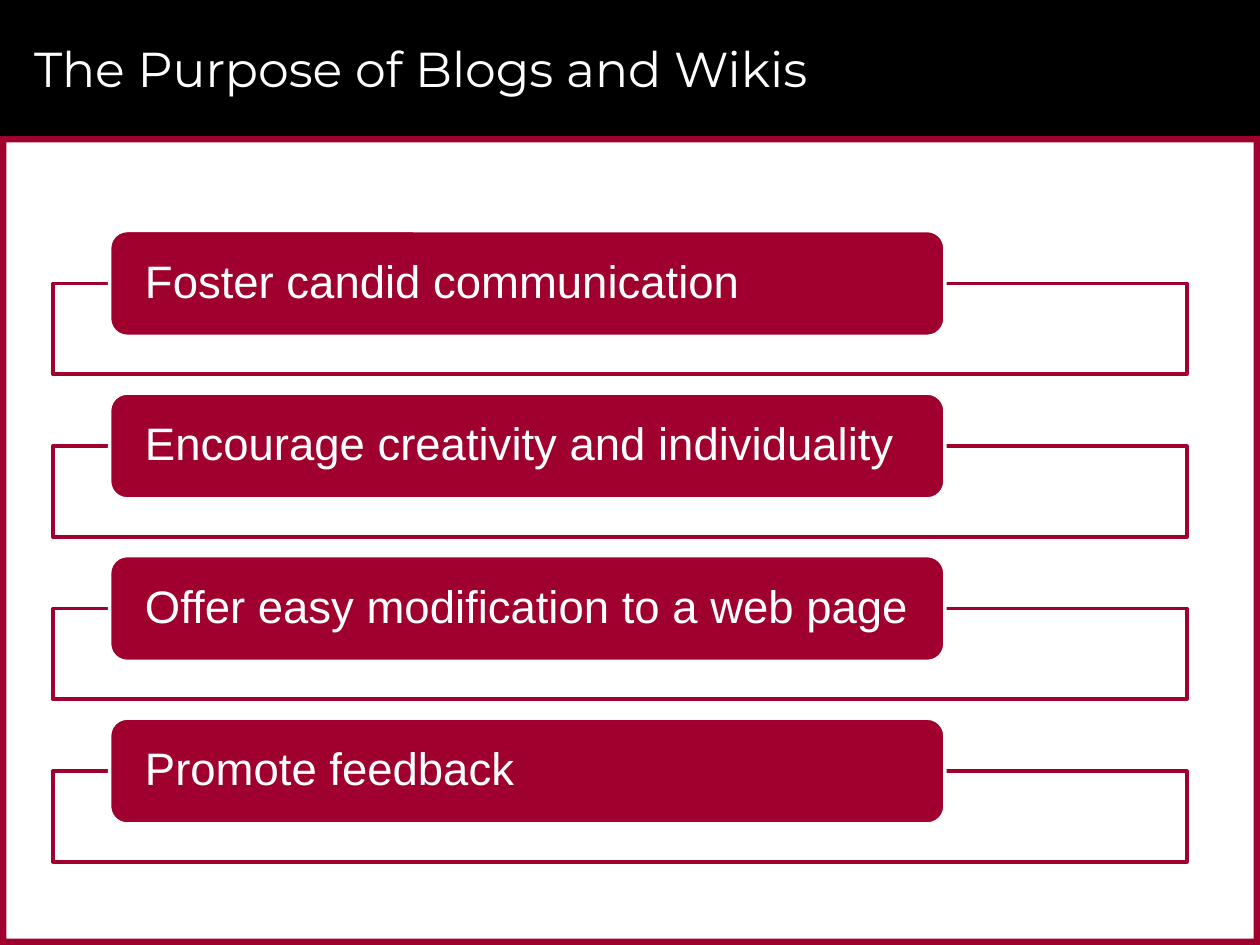
from pptx import Presentation
from pptx.dml.color import RGBColor
from pptx.enum.shapes import MSO_SHAPE
from pptx.enum.text import MSO_ANCHOR, PP_ALIGN
from pptx.util import Inches, Pt

BLACK = RGBColor(0x00, 0x00, 0x00)
WHITE = RGBColor(0xFF, 0xFF, 0xFF)
CRIMSON = RGBColor(0x9F, 0x00, 0x2D)

WIDTH, HEIGHT = 10, 7.5
HEADER_HEIGHT = 1.08
BORDER = 0.05
FIRST_LABEL_TOP = 1.83
ROW_PITCH = 1.29
LABEL_HEIGHT = 0.84

PURPOSES = [
    "Foster candid communication",
    "Encourage creativity and individuality",
    "Offer easy modification to a web page",
    "Promote feedback",
]

presentation = Presentation()
presentation.slide_width = Inches(WIDTH)
presentation.slide_height = Inches(HEIGHT)
slide = presentation.slides.add_slide(presentation.slide_layouts[5])


def add_filled_shape(kind, left, top, width, height, fill, line=None):
    shape = slide.shapes.add_shape(
        kind, Inches(left), Inches(top), Inches(width), Inches(height))
    shape.shadow.inherit = False
    shape.fill.solid()
    shape.fill.fore_color.rgb = fill
    if line is None:
        shape.line.fill.background()
    else:
        shape.line.color.rgb = line
        shape.line.width = Pt(2)
    return shape


def format_text(text_frame, font_name, size):
    text_frame.word_wrap = True
    text_frame.vertical_anchor = MSO_ANCHOR.MIDDLE
    paragraph = text_frame.paragraphs[0]
    paragraph.alignment = PP_ALIGN.LEFT
    font = paragraph.runs[0].font
    font.name = font_name
    font.size = Pt(size)
    font.color.rgb = WHITE


# Header band and the border around the body
add_filled_shape(MSO_SHAPE.RECTANGLE, 0, 0, WIDTH, HEADER_HEIGHT, BLACK)
for top in (HEADER_HEIGHT, HEIGHT - BORDER):
    add_filled_shape(MSO_SHAPE.RECTANGLE, 0, top, WIDTH, BORDER, CRIMSON)
for left in (WIDTH - BORDER, 0):
    add_filled_shape(MSO_SHAPE.RECTANGLE, left, HEADER_HEIGHT, BORDER,
                     HEIGHT - HEADER_HEIGHT, CRIMSON)

# Title, brought in front of the header band
title = slide.shapes.title
title.left, title.top = Inches(0.17), Inches(0.08)
title.width, title.height = Inches(9.42), Inches(0.92)
title.text_frame.text = "The Purpose of Blogs and Wikis"
format_text(title.text_frame, "Montserrat", 28)
title.element.getparent().append(title.element)

# Each purpose is a label overlapping the top edge of an outlined box
for row, purpose in enumerate(PURPOSES):
    label_top = FIRST_LABEL_TOP + row * ROW_PITCH
    add_filled_shape(MSO_SHAPE.RECTANGLE, 0.42, label_top + LABEL_HEIGHT / 2,
                     9, 0.72, WHITE, CRIMSON)
    label = add_filled_shape(MSO_SHAPE.ROUNDED_RECTANGLE, 0.87, label_top,
                             6.63, LABEL_HEIGHT, CRIMSON, WHITE)
    text_frame = label.text_frame
    text_frame.margin_left = Inches(0.24)
    text_frame.margin_right = Inches(0.1)
    text_frame.margin_top = text_frame.margin_bottom = 0
    text_frame.text = purpose
    text_frame.paragraphs[0].line_spacing = 0.9
    format_text(text_frame, "Arial", 26)

presentation.save("out.pptx")
